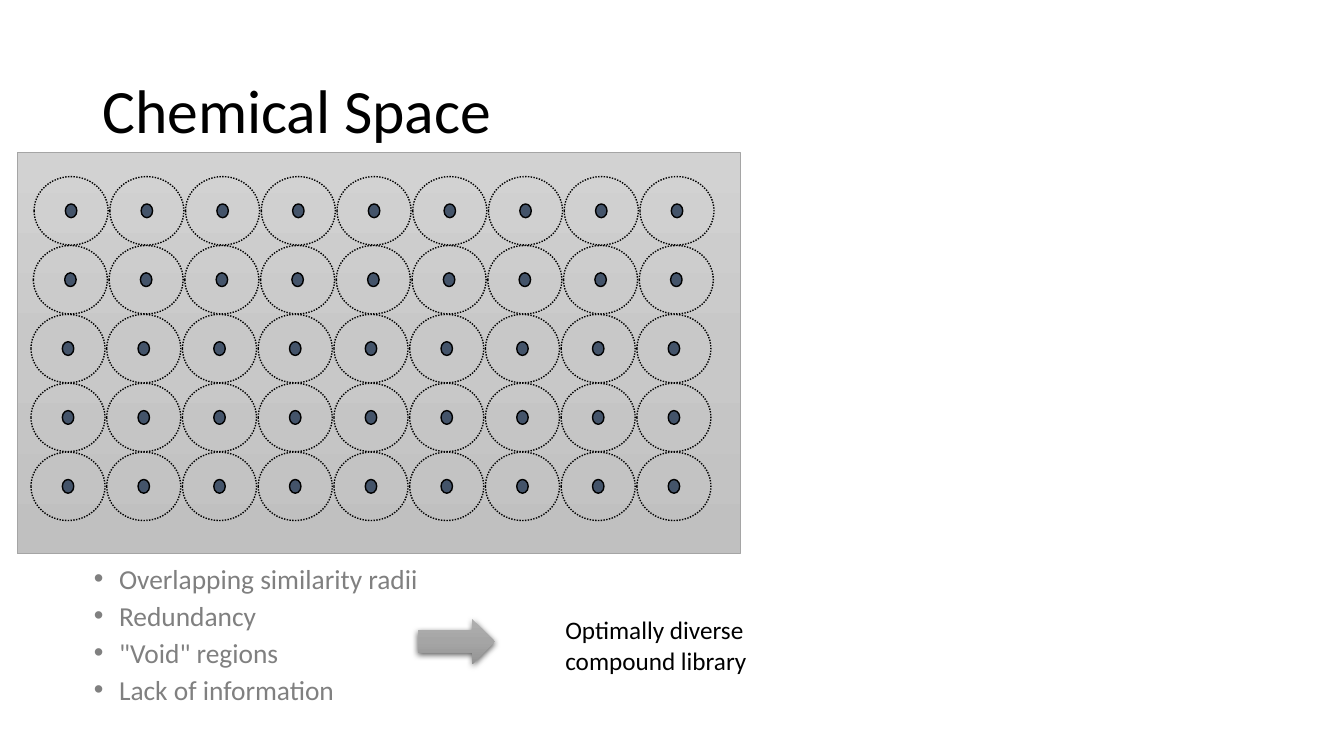
from pptx import Presentation
from pptx.dml.color import RGBColor
from pptx.enum.dml import MSO_LINE
from pptx.enum.shapes import MSO_SHAPE
from pptx.enum.text import MSO_ANCHOR
from pptx.oxml import parse_xml
from pptx.oxml.ns import nsdecls, qn
from pptx.util import Pt

RECTANGLE = MSO_SHAPE.RECTANGLE
OVAL = MSO_SHAPE.OVAL
RIGHT_ARROW = MSO_SHAPE.RIGHT_ARROW
DOTTED = MSO_LINE.ROUND_DOT
MIDDLE = MSO_ANCHOR.MIDDLE
TOP = MSO_ANCHOR.TOP

FONT = "Calibri"
BLACK = "000000"
COLUMNS = 9
COLUMN_PITCH = 54.1
ROW_PITCH = 49.2
FIRST_ROW_Y = 150.6
ROW_STARTS = [50.8, 50.3, 48.6, 48.6, 48.6]
ISSUES = [
    "Overlapping similarity radii",
    "Redundancy",
    '"Void" regions',
    "Lack of information",
]


def color(value):
    """Return the colour for a hex string."""
    return RGBColor.from_string(value)


def add_shape(slide, kind, left, top, width, height, line=None, weight=1):
    """Add an unfilled preset shape with an optional outline."""
    shape = slide.shapes.add_shape(kind, Pt(left), Pt(top), Pt(width), Pt(height))
    shape.shadow.inherit = False
    shape.fill.background()
    if line:
        shape.line.color.rgb = color(line)
        shape.line.width = Pt(weight)
    else:
        shape.line.fill.background()
    return shape


def fill_gradient(shape, colors):
    """Fill a shape from top to bottom with evenly spaced colours."""
    step = 100000 // (len(colors) - 1)
    stops = "".join(
        f'<a:gs pos="{index * step}"><a:srgbClr val="{value}"/></a:gs>'
        for index, value in enumerate(colors)
    )
    gradient = parse_xml(
        f'<a:gradFill {nsdecls("a")} rotWithShape="1"><a:gsLst>{stops}</a:gsLst>'
        '<a:lin ang="5400000" scaled="0"/></a:gradFill>'
    )
    properties = shape.element.spPr
    properties.replace(properties.find(qn("a:noFill")), gradient)


def add_drop_shadow(shape):
    """Give a shape a soft shadow below it."""
    shadow = parse_xml(
        f'<a:outerShdw {nsdecls("a")} blurRad="{Pt(4.5)}" dist="{Pt(1.5)}" '
        'dir="5400000" algn="ctr" rotWithShape="0"><a:srgbClr val="000000">'
        '<a:alpha val="63000"/></a:srgbClr></a:outerShdw>'
    )
    shape.element.spPr.find(qn("a:effectLst")).append(shadow)


def add_text(slide, left, top, width, height, lines, size, hue=BLACK, anchor=TOP):
    """Add a wrapping text box and return its text frame."""
    box = slide.shapes.add_textbox(Pt(left), Pt(top), Pt(width), Pt(height))
    frame = box.text_frame
    frame.word_wrap = True
    frame.vertical_anchor = anchor
    frame.text = "\n".join(lines)
    for para in frame.paragraphs:
        for span in para.runs:
            span.font.name = FONT
            span.font.size = Pt(size)
            span.font.color.rgb = color(hue)
    return frame


def add_bullet(para, indent):
    """Give a paragraph a round bullet with a hanging indent."""
    properties = para._p.get_or_add_pPr()
    properties.set("marL", str(Pt(indent)))
    properties.set("indent", str(-Pt(indent)))
    for tag in (
        '<a:buFont {} typeface="Arial"/>',
        '<a:buChar {} char="•"/>',
    ):
        properties.append(parse_xml(tag.format(nsdecls("a"))))


def compound_centers():
    """Return the centre of every compound in the grid."""
    return [
        (start + column * COLUMN_PITCH, FIRST_ROW_Y + row * ROW_PITCH)
        for row, start in enumerate(ROW_STARTS)
        for column in range(COLUMNS)
    ]


def add_ellipse(slide, center, width, height):
    """Add a black outlined ellipse around a centre point."""
    x, y = center
    return add_shape(slide, OVAL, x - width / 2, y - height / 2, width, height, BLACK)


def add_compounds(slide):
    """Draw the compounds, then their similarity radii."""
    centers = compound_centers()
    for center in centers:
        dot = add_ellipse(slide, center, 8.2, 9.8)
        dot.fill.solid()
        dot.fill.fore_color.rgb = color("44546A")
    for center in centers:
        radius = add_ellipse(slide, center, 52.9, 48.9)
        radius.line.dash_style = DOTTED


def main():
    """Build the chemical space slide."""
    deck = Presentation()
    deck.slide_width, deck.slide_height = Pt(960), Pt(540)
    page = deck.slides.add_slide(deck.slide_layouts[6])

    space = add_shape(page, RECTANGLE, 12.4, 109, 516.2, 286.6, "A5A5A5", 0.5)
    fill_gradient(space, ["D2D2D2", "C8C8C8", "C0C0C0"])

    title = add_text(page, 66, 28.8, 828, 104.4, ["Chemical Space"], 44, anchor=MIDDLE)
    title.paragraphs[0].line_spacing = 0.9

    issues = add_text(page, 60, 404.6, 261.4, 105.1, ISSUES, 19.6, "808080")
    for para in issues.paragraphs:
        para.line_spacing = 0.7
        para.space_before = Pt(10)
        add_bullet(para, 18)

    add_compounds(page)
    add_text(page, 396.7, 435.6, 200.2, 50.4, ["Optimally diverse compound library"], 18)

    arrow = add_shape(page, RIGHT_ARROW, 298.8, 442.1, 54.7, 32.4)
    fill_gradient(arrow, ["AFAFAF", "A5A5A5", "939393"])
    add_drop_shadow(arrow)

    deck.save("out.pptx")


if __name__ == "__main__":
    main()
